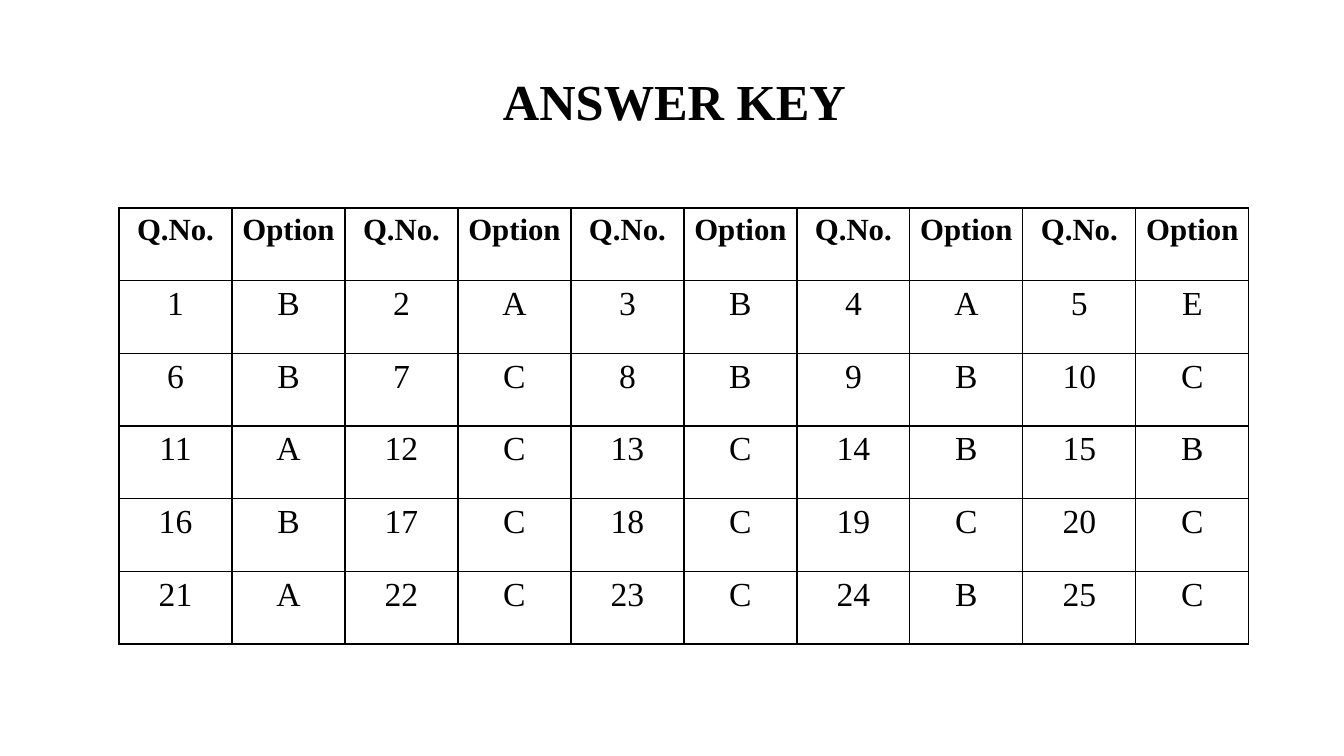
from dataclasses import dataclass

from lxml.etree import SubElement
from pptx import Presentation
from pptx.dml.color import RGBColor
from pptx.enum.text import MSO_ANCHOR, MSO_AUTO_SIZE, PP_ALIGN
from pptx.oxml.ns import qn
from pptx.util import Emu, Inches, Pt

EMU_PER_PX = Inches(1) / 100.8
OPTIONS = ["BABAE", "BCBBC", "ACCBB", "BCCCC", "ACCBC"]


@dataclass(frozen=True)
class Theme:
    font: str = "Times New Roman"
    ink: str = "000000"
    paper: str = "FFFFFF"
    title_size: int = 36
    header_size: int = 22
    answer_size: int = 24
    border_width: int = 1


def px(length):
    return Emu(round(length * EMU_PER_PX))


class AnswerSlide:
    def __init__(self, presentation, theme):
        self.theme = theme
        self.slide = presentation.slides.add_slide(presentation.slide_layouts[5])
        background = self.slide.background.fill
        background.solid()
        background.fore_color.rgb = RGBColor.from_string(theme.paper)

    def set_text(self, frame, text, size, bold):
        frame.text = text
        paragraph = frame.paragraphs[0]
        paragraph.alignment = PP_ALIGN.CENTER
        font = paragraph.runs[0].font
        font.name = self.theme.font
        font.size = Pt(size)
        font.bold = bold
        font.color.rgb = RGBColor.from_string(self.theme.ink)

    def title(self, text, left, top, width, height):
        heading = self.slide.shapes.title
        heading.left, heading.top = px(left), px(top)
        heading.width, heading.height = px(width), px(height)
        frame = heading.text_frame
        frame.auto_size = MSO_AUTO_SIZE.NONE
        frame.vertical_anchor = MSO_ANCHOR.TOP
        self.set_text(frame, text, self.theme.title_size, True)

    def border(self, cell):
        """Draw all four sides; the schema wants them ahead of the fill."""
        properties = cell._tc.get_or_add_tcPr()
        for position, side in enumerate(("lnL", "lnR", "lnT", "lnB")):
            line = SubElement(properties, qn(f"a:{side}"), w=str(Pt(self.theme.border_width)))
            ink = SubElement(SubElement(line, qn("a:solidFill")), qn("a:srgbClr"))
            ink.set("val", self.theme.ink)
            properties.insert(position, line)

    def table(self, rows, left, top, width, height):
        grid = self.slide.shapes.add_table(
            len(rows), len(rows[0]), px(left), px(top), px(width), px(height)
        ).table
        grid.first_row = grid.horz_banding = False
        for row_index, row in enumerate(rows):
            is_header = row_index == 0
            size = self.theme.header_size if is_header else self.theme.answer_size
            for column_index, text in enumerate(row):
                cell = grid.cell(row_index, column_index)
                cell.margin_left = cell.margin_right = px(8)
                cell.fill.background()
                self.border(cell)
                self.set_text(cell.text_frame, text, size, is_header)


def answer_rows():
    """Pair each option with its running question number, below a header row."""
    rows = [["Q.No.", "Option"] * len(OPTIONS[0])]
    number = 1
    for options in OPTIONS:
        row = []
        for option in options:
            row += [str(number), option]
            number += 1
        rows.append(row)
    return rows


def main():
    presentation = Presentation()
    presentation.slide_width = px(1344)
    presentation.slide_height = px(756)
    answer_key = AnswerSlide(presentation, Theme())
    answer_key.title("ANSWER KEY", 319, 65, 711, 72)
    answer_key.table(answer_rows(), 119, 208, 1130, 436)
    presentation.save("out.pptx")


if __name__ == "__main__":
    main()
